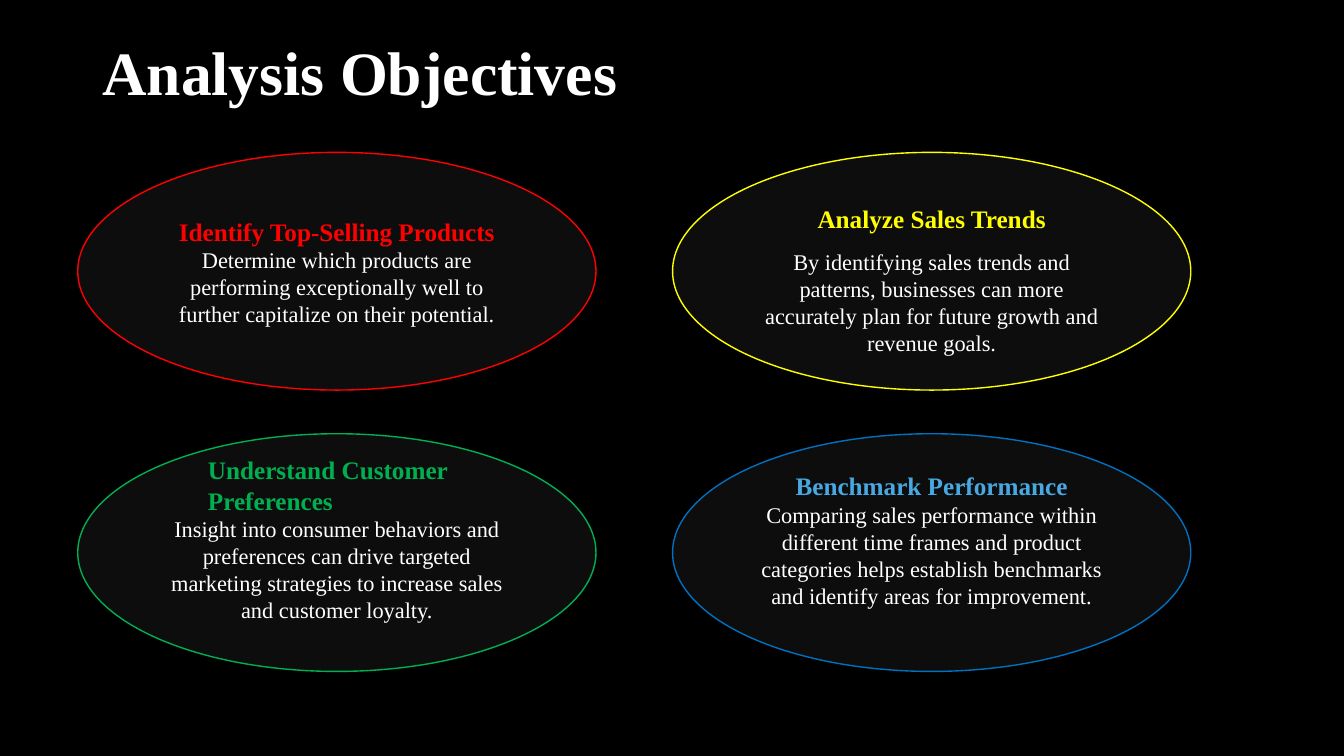
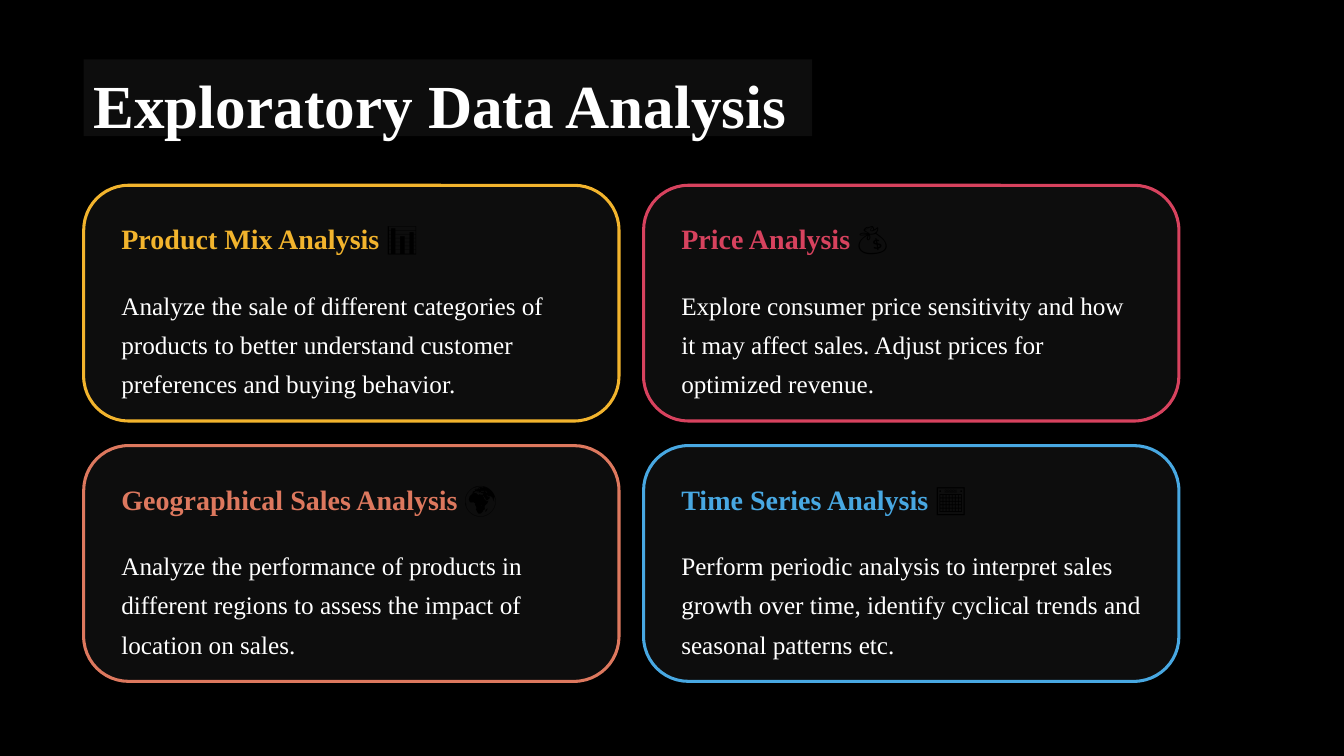
from pptx import Presentation
from pptx.dml.color import RGBColor
from pptx.enum.shapes import MSO_SHAPE
from pptx.enum.text import MSO_ANCHOR, PP_ALIGN
from pptx.util import Cm, Pt

FONT = "Times New Roman"
BLACK, PANEL, WHITE = "000000", "0D0D0D", "FFFFFF"

# heading lines, body, outline, heading colour, paragraph and frame formats
OBJECTIVES = [
    (["Identify Top-Selling Products"],
     "Determine which products are performing exceptionally well to further "
     "capitalize on their potential.",
     "FF0000", "FF0000", {}, {}),
    (["Analyze Sales Trends"],
     "By identifying sales trends and patterns, businesses can more accurately "
     "plan for future growth and revenue goals.",
     "FFFF00", "FFFF00", {"space_after": Pt(10)}, {"margin_top": Cm(0.53)}),
    (["Understand Customer", "Preferences"],
     "Insight into consumer behaviors and preferences can drive targeted "
     "marketing strategies to increase sales and customer loyalty.",
     "00B050", "00B050", {"alignment": PP_ALIGN.LEFT}, {"margin_bottom": Cm(0.83)}),
    (["Benchmark Performance"],
     "Comparing sales performance within different time frames and product "
     "categories helps establish benchmarks and identify areas for improvement.",
     "0070C0", "48A8E2", {}, {"margin_bottom": Cm(0.79)}),
]
LEFT_HEADING_INDENT = Cm(1.12)

ANALYSES = [
    ("Product Mix Analysis ", "📊", "F2B42D",
     "Analyze the sale of different categories of products to better understand "
     "customer preferences and buying behavior."),
    ("Price Analysis ", "💰", "D7425E",
     "Explore consumer price sensitivity and how it may affect sales. Adjust "
     "prices for optimized revenue."),
    ("Geographical Sales Analysis ", "🌍", "DD785E",
     "Analyze the performance of products in different regions to assess the "
     "impact of location on sales."),
    ("Time Series Analysis ", "📅", "48A8E2",
     "Perform periodic analysis to interpret sales growth over time, identify "
     "cyclical trends and seasonal patterns etc."),
]

# left, top, width, height, horizontal gap, vertical gap
ELLIPSE_GRID = Cm(1.96), Cm(3.84), Cm(13.06), Cm(5.99), Cm(1.93), Cm(1.1)
CARD_GRID = Cm(2.11), Cm(4.67), Cm(13.49), Cm(5.94), Cm(0.62), Cm(0.62)


def rgb(value):
    return RGBColor.from_string(value)


def apply(target, formats):
    for name, value in formats.items():
        setattr(target, name, value)


def grid(left, top, width, height, gap_x, gap_y):
    """Yield the four boxes of a two-by-two grid, row by row."""
    for index in range(4):
        row, column = divmod(index, 2)
        yield (left + column * (width + gap_x), top + row * (height + gap_y),
               width, height)


def add_slide(deck):
    slide = deck.slides.add_slide(deck.slide_layouts[6])
    slide.background.fill.solid()
    slide.background.fill.fore_color.rgb = rgb(BLACK)
    return slide


def add_panel(slide, kind, box, outline, weight):
    panel = slide.shapes.add_shape(kind, *box)
    panel.shadow.inherit = False
    panel.fill.solid()
    panel.fill.fore_color.rgb = rgb(PANEL)
    panel.line.color.rgb = rgb(outline)
    panel.line.width = Pt(weight)
    return panel


def add_run(paragraph, text, size, color, bold=False):
    run = paragraph.add_run()
    run.text = text
    apply(run.font, {"name": FONT, "size": Pt(size), "bold": bold})
    run.font.color.rgb = rgb(color)


def add_text(slide, box, runs, spacing, wrap=True):
    """Add a one-paragraph text box; each run is (text, size, colour, bold)."""
    text_box = slide.shapes.add_textbox(*box)
    text_box.text_frame.word_wrap = wrap
    paragraph = text_box.text_frame.paragraphs[0]
    apply(paragraph, {"line_spacing": Pt(spacing), "alignment": PP_ALIGN.LEFT})
    for run in runs:
        add_run(paragraph, *run)
    return text_box


def add_title(slide, text, left, top, size):
    return add_text(slide, (left, top, Cm(18.36), Cm(1.93)),
                    [(text, size, WHITE, True)], 54.7, wrap=False)


def add_objective(slide, box, headings, body, outline, color, formats, margins):
    ellipse = add_panel(slide, MSO_SHAPE.OVAL, box, outline, 1)
    frame = ellipse.text_frame
    apply(frame, {"word_wrap": True, "vertical_anchor": MSO_ANCHOR.MIDDLE, **margins})
    paragraph = frame.paragraphs[0]
    for heading in headings:
        apply(paragraph, {"alignment": PP_ALIGN.CENTER, "line_spacing": Pt(22), **formats})
        if paragraph.alignment == PP_ALIGN.LEFT:
            paragraph._p.get_or_add_pPr().set("marL", str(LEFT_HEADING_INDENT))
        add_run(paragraph, heading, 18, color, True)
        paragraph = frame.add_paragraph()
    apply(paragraph, {"alignment": PP_ALIGN.CENTER, "line_spacing": Pt(19.3)})
    add_run(paragraph, body, 16, WHITE)


def add_analysis(slide, box, heading, icon, color, body):
    card = add_panel(slide, MSO_SHAPE.ROUNDED_RECTANGLE, box, color, 2.18)
    card.adjustments[0] = 0.19
    left, top = box[0] + Cm(0.7), box[1]
    add_text(slide, (left, top + Cm(0.69), Cm(11.3), Cm(1)),
             [(heading, 20, color, True), (icon, 21.9, BLACK, True)], 27.3, wrap=False)
    add_text(slide, (left, top + Cm(2.29), Cm(12.09), Cm(2.97)),
             [(body, 18, WHITE)], 28)


def main():
    deck = Presentation()
    deck.slide_width, deck.slide_height = Cm(33.87), Cm(19.05)

    objectives = add_slide(deck)
    add_title(objectives, "Analysis Objectives", Cm(2.33), Cm(0.66), 44)
    for box, objective in zip(grid(*ELLIPSE_GRID), OBJECTIVES):
        add_objective(objectives, box, *objective)

    exploration = add_slide(deck)
    title = add_title(exploration, "Exploratory Data Analysis", Cm(2.11), Cm(1.5), 43.7)
    title.fill.solid()
    title.fill.fore_color.rgb = rgb(PANEL)
    for box, analysis in zip(grid(*CARD_GRID), ANALYSES):
        add_analysis(exploration, box, *analysis)

    deck.save("out.pptx")


if __name__ == "__main__":
    main()
